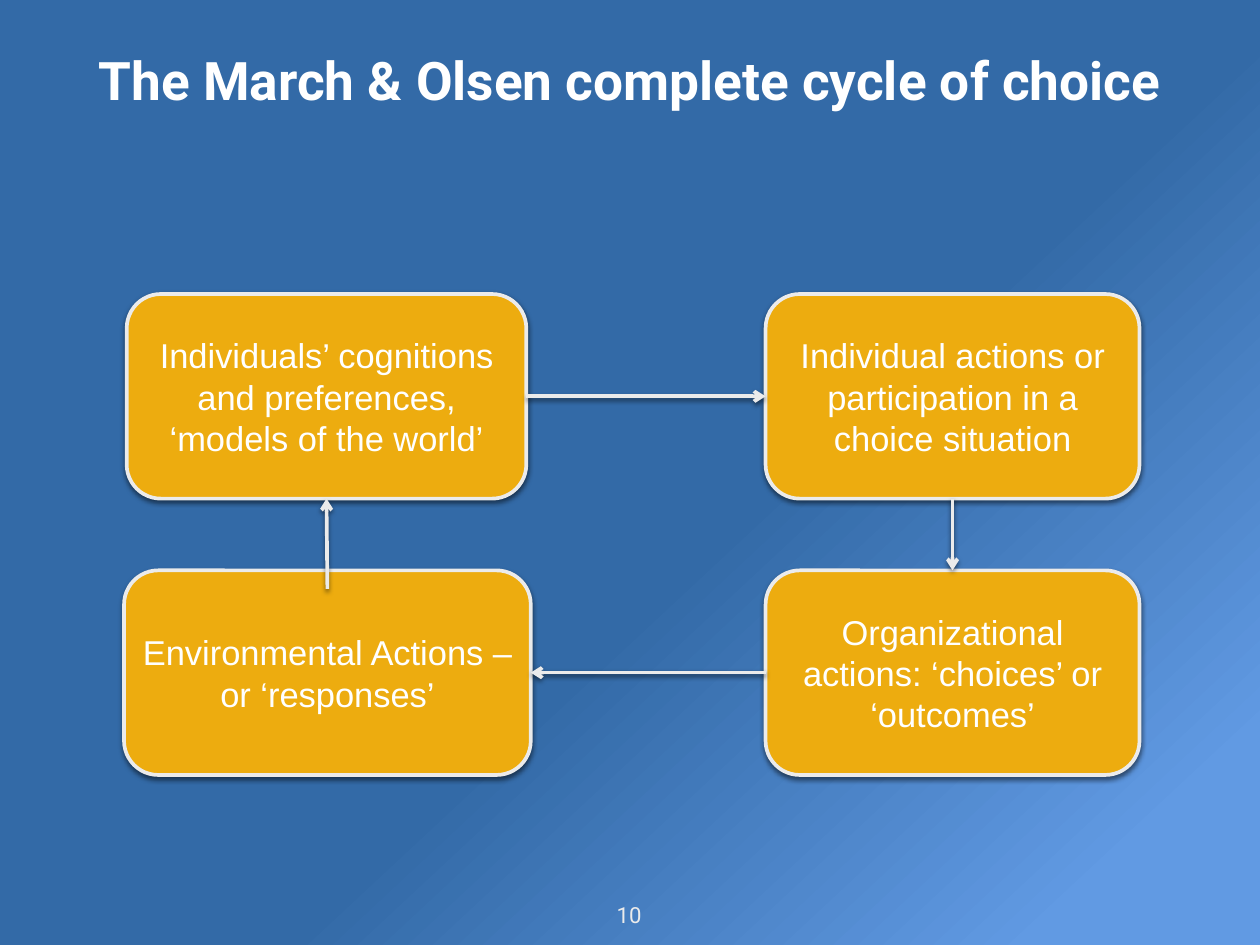
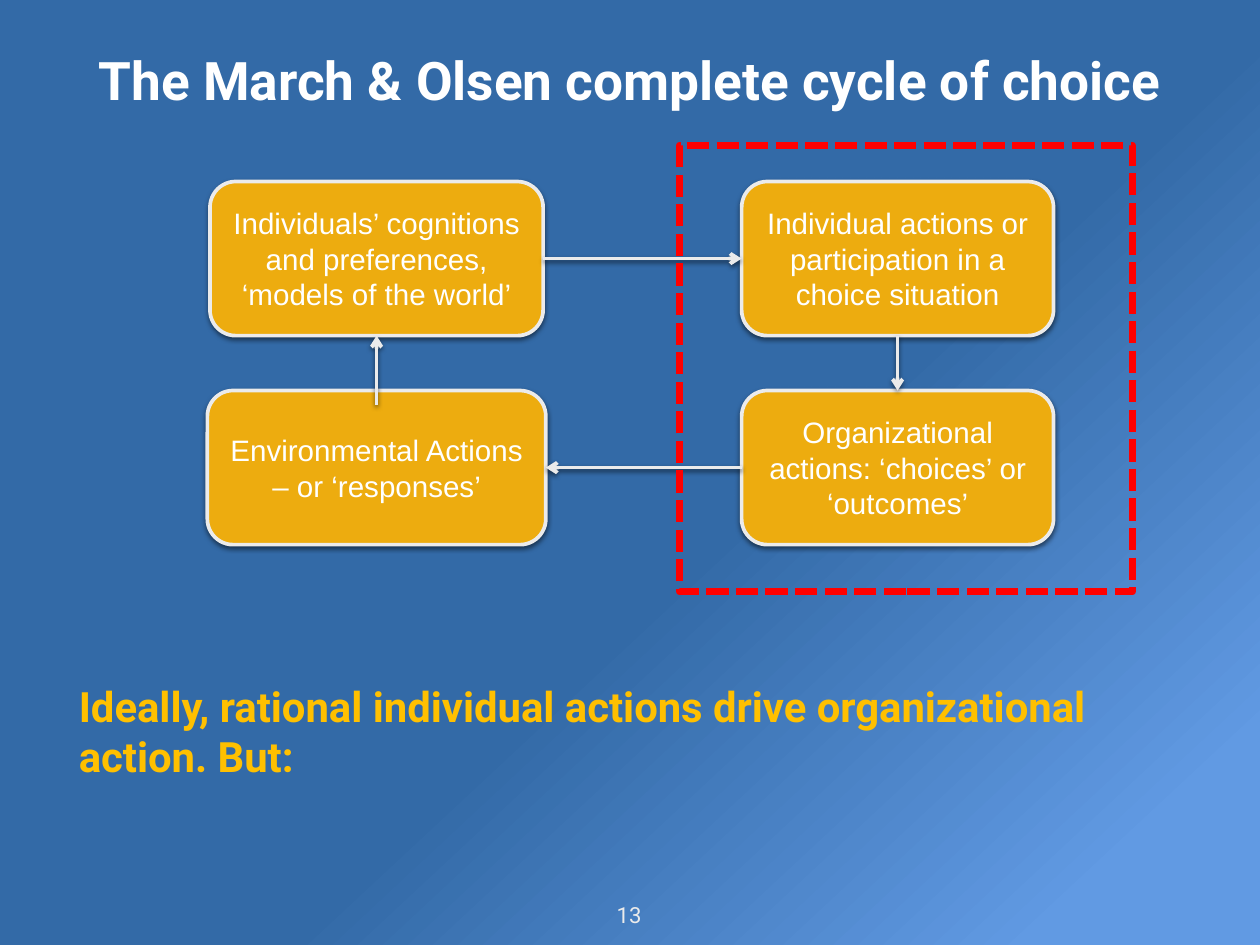
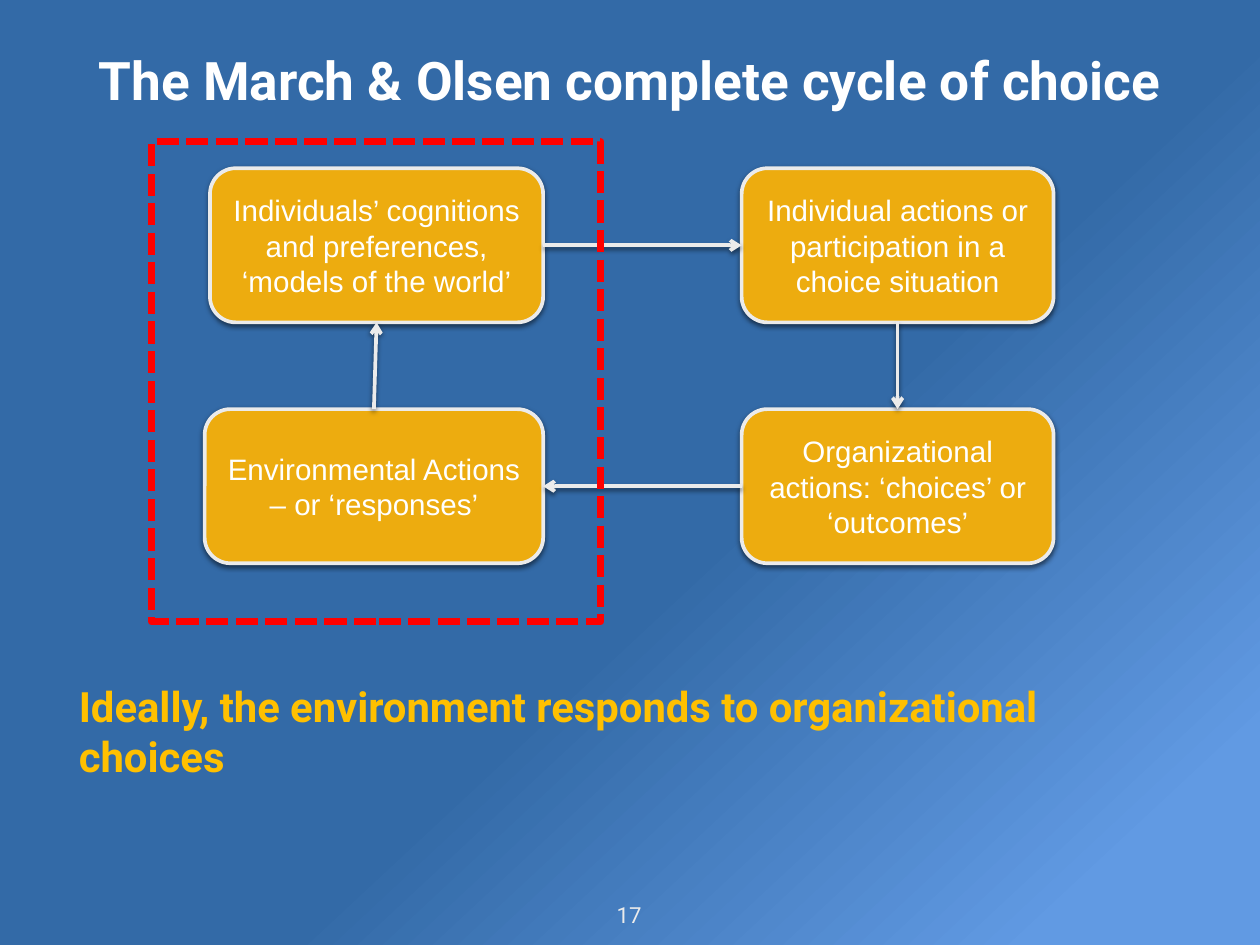
from lxml.etree import SubElement
from pptx import Presentation
from pptx.dml.color import RGBColor
from pptx.enum.dml import MSO_LINE
from pptx.enum.shapes import MSO_CONNECTOR, MSO_SHAPE
from pptx.enum.text import MSO_ANCHOR, MSO_AUTO_SIZE, PP_ALIGN
from pptx.oxml.ns import qn
from pptx.util import Inches, Pt

# Shared look
WHITE = RGBColor(0xFF, 0xFF, 0xFF)
PALE = RGBColor(0xEB, 0xEB, 0xEB)
AMBER = RGBColor(0xED, 0xAC, 0x0F)
GOLD = RGBColor(0xFF, 0xC0, 0x00)
RED = RGBColor(0xFF, 0x00, 0x00)
GRADIENT = [(0.57, RGBColor(0x33, 0x6A, 0xA7)), (0.90, RGBColor(0x61, 0x9A, 0xE3))]
GRADIENT_ANGLE = 47
TEXT_FONT, BOX_FONT = "Roboto", "Arial"
TITLE_AREA = (0.83, 0.14, 12.56, 1.5)
MESSAGE_AREA = (0.83, 6.68, 12.56, 3.14)
NUMBER_AREA = (6.97, 10.12, 0.26, 0.41)

# Content
TITLE = "The March & Olsen complete cycle of choice"
STEPS = {
    "environment": "Environmental Actions – or ‘responses’",
    "action": "Individual actions or participation in a choice situation",
    "organization": "Organizational actions: ‘choices’ or ‘outcomes’",
    "cognition": "Individuals’ cognitions and preferences, ‘models of the world’",
}
TOP, LEFT, BOTTOM, RIGHT = range(4)  # connection sites of a box
ARROWS = [
    ("cognition", RIGHT, "action", LEFT),
    ("action", BOTTOM, "organization", TOP),
    ("organization", LEFT, "environment", RIGHT),
    ("environment", TOP, "cognition", BOTTOM),
]

# columns: left and width of each step; rows: tops of the upper and lower boxes;
# overlap: how far the upward arrow starts inside the lower box
SMALL_COLUMNS = {"environment": (2.34, 3.82), "cognition": (2.37, 3.76),
                 "action": (8.37, 3.52), "organization": (8.37, 3.52)}
SLIDES = [
    {"number": 10, "rows": (3.32, 6.44), "height": 2.31, "size": 28, "overlap": 0.21,
     "columns": {"environment": (1.4, 4.59), "cognition": (1.43, 4.51),
                 "action": (8.64, 4.22), "organization": (8.64, 4.22)}},
    {"number": 13, "rows": (2.05, 4.41), "height": 1.74, "size": 24, "overlap": 0.16,
     "columns": SMALL_COLUMNS, "frame": (7.67, 1.64, 5.11, 5.04),
     "message": "Ideally, rational individual actions drive organizational action. But:"},
    {"number": 17, "rows": (1.9, 4.62), "height": 1.74, "size": 24, "overlap": 0,
     "columns": {**SMALL_COLUMNS, "environment": (2.31, 3.82)},
     "frame": (1.71, 1.6, 5.07, 5.42),
     "message": "Ideally, the environment responds to organizational choices"},
]


def inches(area):
    return [Inches(length) for length in area]


def write(shape, text, font_name, size, color, bold=False, align=PP_ALIGN.CENTER, inset=0.06):
    frame = shape.text_frame
    frame.text = text
    frame.word_wrap = True
    frame.auto_size = MSO_AUTO_SIZE.NONE
    frame.vertical_anchor = MSO_ANCHOR.MIDDLE
    frame.margin_left = frame.margin_right = Inches(inset)
    frame.margin_top = frame.margin_bottom = Inches(min(inset, 0.06))
    paragraph = frame.paragraphs[0]
    paragraph.alignment = align
    font = paragraph.font
    font.name, font.size, font.bold = font_name, Pt(size), bold
    font.color.rgb = color


def set_line(shape, color, width):
    shape.line.color.rgb = color
    shape.line.width = Pt(width)


def add_shadow(shape):
    effects = SubElement(shape._element.spPr, qn("a:effectLst"))
    shadow = SubElement(effects, qn("a:outerShdw"), blurRad=str(Pt(4)), dist=str(Pt(2)),
                        dir="5400000", rotWithShape="0")
    color = SubElement(shadow, qn("a:srgbClr"), val="000000")
    SubElement(color, qn("a:alpha"), val="50000")


def add_box(slide, area, text, size):
    box = slide.shapes.add_shape(MSO_SHAPE.ROUNDED_RECTANGLE, *inches(area))
    box.fill.solid()
    box.fill.fore_color.rgb = AMBER
    set_line(box, PALE, 3)
    add_shadow(box)
    write(box, text, BOX_FONT, size, WHITE, inset=0.1)
    return box


def add_arrow(slide, start, start_site, end, end_site, overlap):
    arrow = slide.shapes.add_connector(MSO_CONNECTOR.STRAIGHT, 0, 0, 0, 0)
    if start_site == TOP and overlap:
        arrow.begin_x = start.left + start.width // 2
        arrow.begin_y = start.top + Inches(overlap)
    else:
        arrow.begin_connect(start, start_site)
    arrow.end_connect(end, end_site)
    set_line(arrow, PALE, 3)
    SubElement(arrow._element.spPr.find(qn("a:ln")), qn("a:tailEnd"), type="arrow")
    add_shadow(arrow)


def add_cycle(slide, content):
    upper, lower = content["rows"]
    boxes = {}
    for step, text in STEPS.items():
        left, width = content["columns"][step]
        top = upper if step in ("cognition", "action") else lower
        area = (left, top, width, content["height"])
        boxes[step] = add_box(slide, area, text, content["size"])
    for start, start_site, end, end_site in ARROWS:
        add_arrow(slide, boxes[start], start_site, boxes[end], end_site, content["overlap"])


def add_frame(slide, area):
    frame = slide.shapes.add_shape(MSO_SHAPE.RECTANGLE, *inches(area))
    frame.shadow.inherit = False
    frame.fill.background()
    set_line(frame, RED, 6)
    frame.line.dash_style = MSO_LINE.SQUARE_DOT


def add_slide(presentation, content):
    slide = presentation.slides.add_slide(presentation.slide_layouts[5])
    title = slide.shapes.title
    title.left, title.top, title.width, title.height = inches(TITLE_AREA)
    write(title, TITLE, TEXT_FONT, 43.2, WHITE, bold=True)
    if "message" in content:
        message = slide.shapes.add_textbox(*inches(MESSAGE_AREA))
        write(message, content["message"], TEXT_FONT, 34, GOLD, bold=True, align=PP_ALIGN.LEFT)
    number = slide.shapes.add_textbox(*inches(NUMBER_AREA))
    write(number, str(content["number"]), TEXT_FONT, 18, PALE)
    number.text_frame.word_wrap = False
    add_cycle(slide, content)
    if "frame" in content:
        add_frame(slide, content["frame"])


def set_background(master):
    fill = master.background.fill
    fill.gradient()
    fill.gradient_angle = 360 - GRADIENT_ANGLE
    for stop, (position, color) in zip(fill.gradient_stops, GRADIENT):
        stop.position = position
        stop.color.rgb = color


def main():
    presentation = Presentation()
    presentation.slide_width, presentation.slide_height = Inches(14.22), Inches(10.67)
    set_background(presentation.slide_master)
    for content in SLIDES:
        add_slide(presentation, content)
    presentation.save("out.pptx")


if __name__ == "__main__":
    main()
